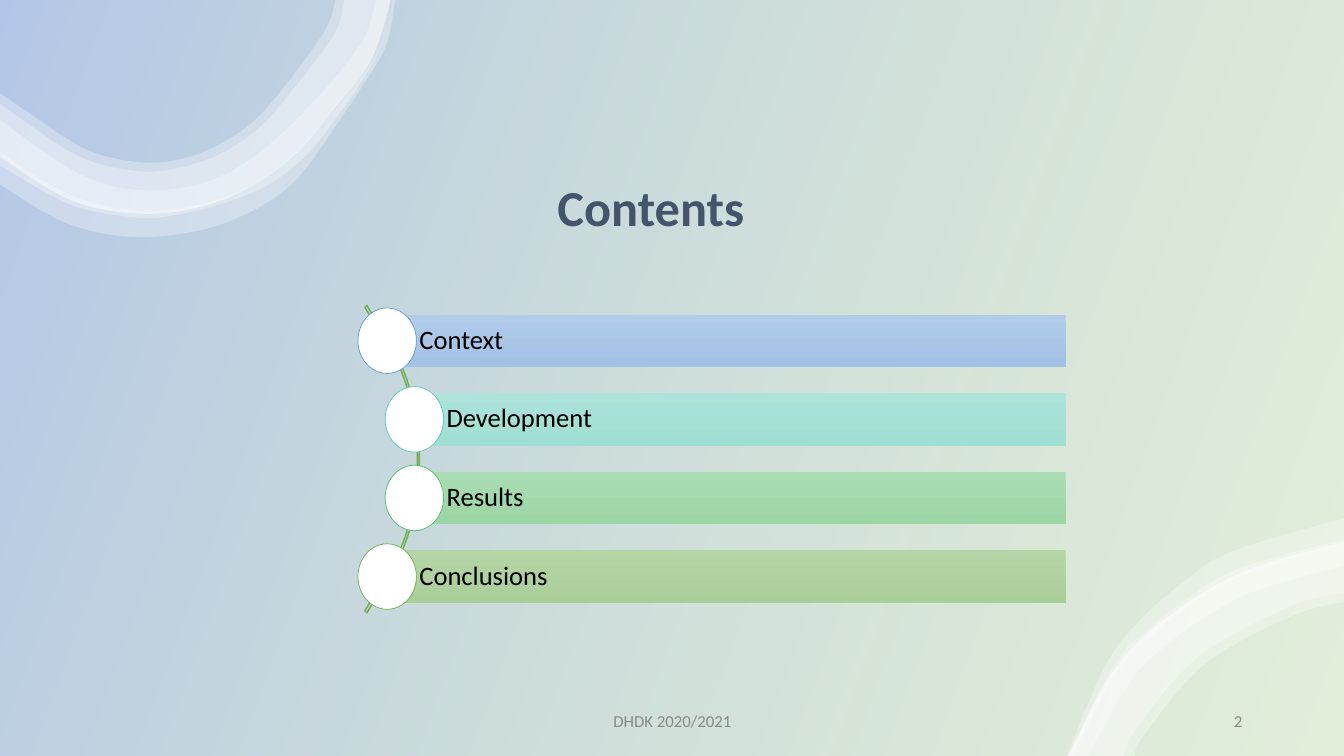
import pptx
import pptx.dml.color
import pptx.enum.shapes
import pptx.enum.text
import pptx.util
import lxml.etree

RGB = pptx.dml.color.RGBColor
Inches, Pt = pptx.util.Inches, pptx.util.Pt
ALIGN, ANCHOR = pptx.enum.text.PP_ALIGN, pptx.enum.text.MSO_ANCHOR
PRESET = pptx.enum.shapes.MSO_SHAPE

WIDTH, HEIGHT = 13.33, 7.5
WHITE, BLACK = RGB(0xFF, 0xFF, 0xFF), RGB(0, 0, 0)
GREEN, BLUE = RGB(0x70, 0xAD, 0x47), RGB(0x44, 0x72, 0xC4)
SLATE, GREY = RGB(0x44, 0x54, 0x6A), RGB(0x89, 0x89, 0x89)

TITLE = "Contents"
FOOTER = "DHDK 2020/2021"
PAGE = "2"
# label, indent step, gradient top, gradient bottom, circle outline
TOPICS = [
    ("Context", 0, RGB(0xB1, 0xCB, 0xE9), RGB(0xA3, 0xC1, 0xE5), RGB(0x5B, 0x9B, 0xD5)),
    ("Development", 1, RGB(0xAD, 0xE3, 0xD9), RGB(0x9F, 0xDE, 0xD2), RGB(0x52, 0xCA, 0xB8)),
    ("Results", 1, RGB(0xA9, 0xDC, 0xB2), RGB(0x9C, 0xD6, 0xA5), RGB(0x49, 0xBF, 0x64)),
    ("Conclusions", 0, RGB(0xB5, 0xD5, 0xA7), RGB(0xAA, 0xCE, 0x99), GREEN),
]

# Each ribbon is a pair of smooth edges, the second running back.
TOP_LOWER_EDGE = [
    (-0.02, 1.54), (0.69, 1.98), (1.39, 2.12), (2, 2.05), (2.51, 1.84),
    (2.94, 1.52), (3.31, 1.09), (3.68, 0.6), (3.88, -0.01)]
TOP_RIBBONS = [
    ([(3.89, -0.01), (3.79, 0.43), (3.54, 0.82), (3.23, 1.19), (2.92, 1.53),
      (2.55, 1.81), (2.13, 1.99), (1.67, 2.08), (1.2, 2.07), (0.76, 1.96),
      (0.36, 1.75), (-0.02, 1.49)],
     [(-0.02, 1.82), (0.65, 2.21), (1.3, 2.35), (1.96, 2.29), (2.45, 2.12),
      (2.82, 1.89), (3.05, 1.65), (3.33, 1.25), (3.59, 0.86), (3.83, 0.45),
      (3.92, -0.01)]),
    ([(3.73, -0.01), (3.63, 0.34), (3.39, 0.69), (3.09, 1.03), (2.79, 1.33),
      (2.47, 1.59), (2.09, 1.79), (1.67, 1.88), (1.23, 1.87), (0.84, 1.75),
      (0.47, 1.53), (-0.02, 1.18)],
     [(-0.02, 1.63), (0.7, 2.03), (1.36, 2.16), (1.7, 2.14), (2.18, 2.03),
      (2.65, 1.84), (3.03, 1.55), (3.33, 1.18), (3.58, 0.82), (3.8, 0.41),
      (3.88, -0.01)]),
    ([(3.42, -0.01), (3.32, 0.33), (2.93, 0.86), (2.6, 1.24), (2.24, 1.5),
      (1.84, 1.65), (1.39, 1.7), (0.8, 1.56), (0.21, 1.18), (-0.02, 1.01)],
     TOP_LOWER_EDGE),
    ([(3.33, -0.01), (3.23, 0.29), (2.86, 0.81), (2.55, 1.17), (2.22, 1.41),
      (1.83, 1.57), (1.39, 1.61), (0.85, 1.48), (0.27, 1.11), (-0.02, 0.91)],
     TOP_LOWER_EDGE),
]
CORNER_UPPER_EDGE = [(10.6, 7.5), (11.06, 6.63), (11.66, 6.06), (12.41, 5.64),
                     (13.33, 5.38)]
CORNER_RIBBONS = [
    ([(10.58, 7.5), (10.96, 6.61), (11.3, 6.16), (11.73, 5.78), (12.22, 5.47),
      (13.33, 5.14)],
     [(13.33, 5.39), (12.35, 5.7), (11.87, 5.96), (11.45, 6.29), (11.07, 6.68),
      (10.63, 7.5)]),
    (CORNER_UPPER_EDGE,
     [(13.33, 5.97), (12.82, 6.11), (11.95, 6.59), (11.35, 7.29), (11.25, 7.5)]),
    ([(10.59, 7.5), (11.04, 6.61), (11.4, 6.23), (11.83, 5.9), (12.31, 5.63),
      (13.33, 5.35)],
     [(13.33, 5.61), (12.43, 5.87), (11.98, 6.11), (11.57, 6.4), (11.22, 6.75),
      (10.79, 7.5)]),
    (CORNER_UPPER_EDGE,
     [(13.33, 5.88), (12.79, 6.02), (11.88, 6.52), (11.26, 7.25), (11.15, 7.5)]),
]
ARC = ([(3.64, 3.03), (4.03, 3.75), (4.16, 4.56), (4.03, 5.36), (3.64, 6.08)],
       [(3.62, 6.06), (4.01, 5.35), (4.14, 4.56), (4.01, 3.76), (3.62, 3.05)])

LIST_LEFT, LIST_RIGHT, LIST_TOP = 3.84, 10.57, 3.12
INDENT, ROW_PITCH, BAR_HEIGHT = 0.27, 0.78, 0.52
CIRCLE_WIDTH, CIRCLE_HEIGHT = 0.58, 0.65


def bezier_points(edge):
    """Return two handles and an end point for each span of a smooth edge."""
    points = []
    padded = [edge[0], *edge, edge[-1]]
    for a, b, c, d in zip(padded, padded[1:], padded[2:], padded[3:]):
        points.append(tuple(b[k] + (c[k] - a[k]) / 6 for k in (0, 1)))
        points.append(tuple(c[k] - (d[k] - b[k]) / 6 for k in (0, 1)))
        points.append(c)
    return points


def set_alpha(colour_parent, percent):
    for colour in colour_parent.xpath(".//a:srgbClr"):
        alpha = lxml.etree.SubElement(colour, pptx.oxml.ns.qn("a:alpha"))
        alpha.set("val", str(percent * 1000))


def finish(shape, fill=None, line=None, line_width=1, alpha=None):
    shape.shadow.inherit = False
    if fill is None:
        shape.fill.background()
    else:
        shape.fill.solid()
        shape.fill.fore_color.rgb = fill
        if alpha:
            set_alpha(shape._element.spPr, alpha)
    if line is None:
        shape.line.fill.background()
    else:
        shape.line.color.rgb = line
        shape.line.width = Pt(line_width)


def add_preset(shapes, preset, left, top, width, height, **style):
    shape = shapes.add_shape(preset, *map(Inches, (left, top, width, height)))
    finish(shape, **style)
    return shape


def add_ribbon(shapes, edges, **style):
    """Draw a closed band; every three line segments become one Bezier curve."""
    there, back = edges
    outline = [there[0], *bezier_points(there), there[-1], back[0], back[0],
               *bezier_points(back)]
    outline = [(Inches(x), Inches(y)) for x, y in outline]
    builder = shapes.build_freeform(*outline[0], scale=1.0)
    builder.add_line_segments(outline[1:], close=True)
    ribbon = builder.convert_to_shape()
    segments = ribbon._element.xpath(".//a:lnTo")
    for first, second, third in zip(segments[::3], segments[1::3], segments[2::3]):
        first.tag = pptx.oxml.ns.qn("a:cubicBezTo")
        for segment in (second, third):
            first.append(segment[0])
            segment.getparent().remove(segment)
    finish(ribbon, **style)


def set_gradient(shape, first, last, angle, alphas=()):
    shape.fill.gradient()
    shape.fill.gradient_angle = angle
    stops = shape.fill.gradient_stops
    for stop, colour in zip(stops, (first, last)):
        stop.color.rgb = colour
    for stop, alpha in zip(stops, alphas):
        set_alpha(stop._gs, alpha)


def write(shape, text, size, colour, align=ALIGN.LEFT, bold=False, left_inset=0.1,
          right_inset=0.1, line_spacing=1.0, space_after=0):
    frame = shape.text_frame
    frame.word_wrap = True
    frame.vertical_anchor = ANCHOR.MIDDLE
    frame.margin_left, frame.margin_right = Inches(left_inset), Inches(right_inset)
    frame.margin_top = frame.margin_bottom = Inches(0.05)
    paragraph = frame.paragraphs[0]
    paragraph.alignment = align
    paragraph.line_spacing = line_spacing
    paragraph.space_after = Pt(space_after)
    run = paragraph.add_run()
    run.text = text
    run.font.name, run.font.size, run.font.bold = "Calibri", Pt(size), bold
    run.font.color.rgb = colour


def add_label(shapes, left, top, width, height, text, **text_format):
    box = shapes.add_textbox(*map(Inches, (left, top, width, height)))
    write(box, text, **text_format)


def main():
    deck = pptx.Presentation()
    deck.slide_width, deck.slide_height = Inches(WIDTH), Inches(HEIGHT)
    shapes = deck.slides.add_slide(deck.slide_layouts[6]).shapes

    backdrop = add_preset(shapes, PRESET.RECTANGLE, 0, 0, WIDTH, HEIGHT)
    set_gradient(backdrop, GREEN, BLUE, 160, alphas=(20, 40))
    for ribbon in TOP_RIBBONS:
        add_ribbon(shapes, ribbon, fill=WHITE, alpha=30)
    add_label(shapes, 3.31, 1.08, 6.29, 2.01, TITLE, size=36, colour=SLATE,
              align=ALIGN.CENTER, bold=True, line_spacing=0.9)

    add_ribbon(shapes, ARC, line=GREEN)
    for row, (topic, step, upper, lower, outline) in enumerate(TOPICS):
        left, top = LIST_LEFT + step * INDENT, LIST_TOP + row * ROW_PITCH
        bar = add_preset(shapes, PRESET.RECTANGLE, left, top, LIST_RIGHT - left, BAR_HEIGHT)
        set_gradient(bar, upper, lower, 270)
        write(bar, topic, size=19, colour=BLACK, left_inset=0.32, right_inset=0.05,
              line_spacing=0.9, space_after=8)
        add_preset(shapes, PRESET.OVAL, left - CIRCLE_WIDTH / 2,
                   top + (BAR_HEIGHT - CIRCLE_HEIGHT) / 2, CIRCLE_WIDTH, CIRCLE_HEIGHT,
                   fill=WHITE, line=outline, line_width=0.5)

    for ribbon in CORNER_RIBBONS:
        add_ribbon(shapes, ribbon, fill=WHITE, alpha=30)
    add_label(shapes, 4.42, 6.95, 4.5, 0.4, FOOTER, size=12, colour=GREY, align=ALIGN.CENTER)
    add_label(shapes, 9.42, 6.95, 3, 0.4, PAGE, size=12, colour=GREY, align=ALIGN.RIGHT)
    deck.save("out.pptx")


if __name__ == "__main__":
    main()
